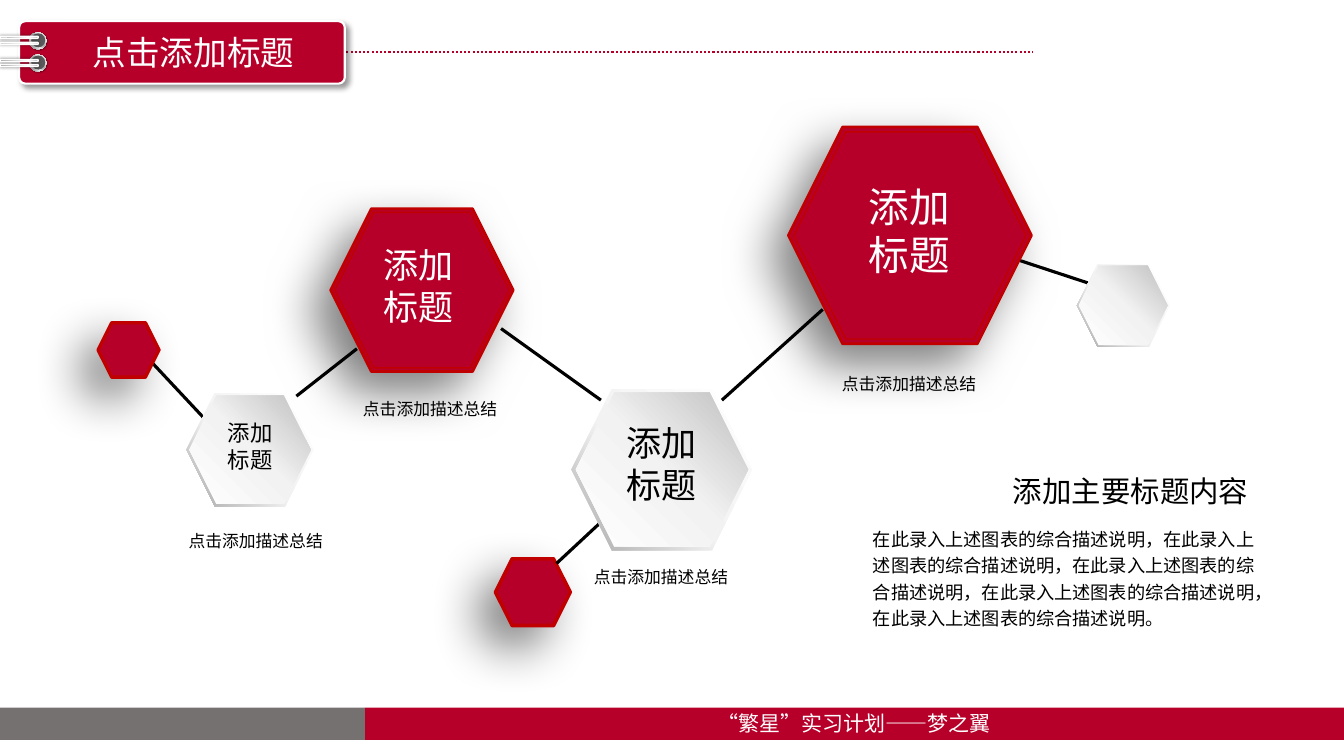
"""Build a slide that links titled hexagons into a network with a summary beside it."""
from dataclasses import dataclass

import pptx
import pptx.dml.color
import pptx.enum.dml
import pptx.enum.shapes
import pptx.enum.text
import pptx.oxml
import pptx.oxml.ns
import pptx.util
from lxml import etree

Inches = pptx.util.Inches
Pt = pptx.util.Pt
qn = pptx.oxml.ns.qn
SHAPE = pptx.enum.shapes.MSO_SHAPE
ALIGN = pptx.enum.text.PP_ALIGN


@dataclass(frozen=True)
class Theme:
    font: str = "Noto Sans CJK SC"
    red: str = "B6002A"
    edge: str = "C00000"
    gray: str = "767171"
    hole: str = "595959"
    white: str = "FFFFFF"
    black: str = "000000"
    ring: tuple = ((0, "FFFFFF"), (17, "A6A6A6"), (35, "F2F2F2"),
                   (55, "A6A6A6"), (75, "F2F2F2"), (100, "A6A6A6"))
    wire: tuple = ((0, "808080"), (23, "A6A6A6"), (52, "D9D9D9"),
                   (74, "FFFFFF"), (100, "A6A6A6"))
    bevel: tuple = ((0, "FFFFFF"), (55, "F2F2F2"), (100, "A6A6A6"))
    face: tuple = ((0, "FFFFFF"), (51, "F2F2F2"), (100, "BFBFBF"))
    title: int = 24
    footer: int = 15
    heading: int = 21
    body: int = 13
    caption: int = 12
    node_large: int = 29
    node_medium: int = 25
    node_small: int = 16


THEME = Theme()


def rgb(color):
    return pptx.dml.color.RGBColor.from_string(color)


def set_gradient(shape, stops, angle):
    shape.fill.gradient()
    gradient = shape._element.spPr.find(qn("a:gradFill"))
    stop_list = gradient.find(qn("a:gsLst"))
    for stop in list(stop_list):
        stop_list.remove(stop)
    for position, color in stops:
        stop = etree.SubElement(stop_list, qn("a:gs"), pos=str(position * 1000))
        etree.SubElement(stop, qn("a:srgbClr"), val=color)
    gradient.find(qn("a:lin")).set("ang", str(angle * 60000))


def set_shadow(shape, opacity, blur, distance, angle):
    effects = shape._element.spPr.find(qn("a:effectLst"))
    shadow = etree.SubElement(
        effects, qn("a:outerShdw"), blurRad=str(Pt(blur)), dist=str(Pt(distance)),
        dir=str(angle * 60000), algn="ctr", rotWithShape="0")
    color = etree.SubElement(shadow, qn("a:srgbClr"), val=THEME.black)
    etree.SubElement(color, qn("a:alpha"), val=str(opacity * 1000))


def add_block(slide, kind, box, fill, angle=0, line=None, shadow=None,
              rotation=0, corner=None):
    """Add a preset shape; fill is a colour or a tuple of gradient stops."""
    shape = slide.shapes.add_shape(kind, *map(Inches, box))
    shape.shadow.inherit = False
    shape.rotation = rotation
    if corner is not None:
        shape.adjustments[0] = corner
    if isinstance(fill, str):
        shape.fill.solid()
        shape.fill.fore_color.rgb = rgb(fill)
    else:
        set_gradient(shape, fill, angle)
    if line:
        shape.line.color.rgb = rgb(line[0])
        shape.line.width = Pt(line[1])
    else:
        shape.line.fill.background()
    if shadow:
        set_shadow(shape, *shadow)


def add_link(slide, start, end, color=THEME.black, width=2.25, dash=None):
    link = slide.shapes.add_connector(
        pptx.enum.shapes.MSO_CONNECTOR.STRAIGHT, *map(Inches, start + end))
    link.line.color.rgb = rgb(color)
    link.line.width = Pt(width)
    if dash:
        link.line.dash_style = dash
    etree.SubElement(link._element.spPr, qn("a:effectLst"))


def add_text(slide, box, text, size, color=THEME.black, align=ALIGN.LEFT,
             wrap=True, inset=(0.1, 0.05), spacing=None):
    frame = slide.shapes.add_textbox(*map(Inches, box)).text_frame
    frame.text = text
    frame.word_wrap = wrap
    frame.auto_size = pptx.enum.text.MSO_AUTO_SIZE.SHAPE_TO_FIT_TEXT
    frame.margin_left = frame.margin_right = Inches(inset[0])
    frame.margin_top = frame.margin_bottom = Inches(inset[1])
    for paragraph in frame.paragraphs:
        paragraph.alignment = align
        if spacing:
            paragraph.line_spacing = spacing
        for run in paragraph.runs:
            run.font.size = Pt(size)
            run.font.color.rgb = rgb(color)
            run.font.name = THEME.font
            etree.SubElement(run.font._element, qn("a:ea"), typeface=THEME.font)


def add_hexagon(slide, left, top, width, red):
    """Add a rim hexagon and a slightly smaller face centred on it."""
    height = width * 0.893
    scale = 0.955
    margin = (1 - scale) / 2
    rim = (left, top, width, height)
    face = (left + width * margin, top + height * margin, width * scale, height * scale)
    if red:
        add_block(slide, SHAPE.HEXAGON, rim, THEME.red, line=(THEME.edge, 2),
                  shadow=(50, 35, 20, 135))
        add_block(slide, SHAPE.HEXAGON, face, THEME.red, line=(THEME.edge, 1))
    else:
        add_block(slide, SHAPE.HEXAGON, rim, THEME.bevel, angle=135)
        add_block(slide, SHAPE.HEXAGON, face, THEME.face, angle=315)


def add_frame(slide):
    """Add the footer bars, the title plate and its binder rings."""
    add_block(slide, SHAPE.RECTANGLE, (3.62, 7.02, 9.71, 0.32), THEME.red)
    add_text(slide, (6.99, 7, 2.97, 0.35), "“繁星”实习计划——梦之翼",
             THEME.footer, THEME.white, ALIGN.CENTER, wrap=False)
    add_link(slide, (3.31, 0.52), (10.24, 0.52), THEME.red, 1.5,
             pptx.enum.dml.MSO_LINE.ROUND_DOT)
    add_block(slide, SHAPE.ROUNDED_RECTANGLE, (0.19, 0.21, 3.23, 0.62), THEME.red,
              line=(THEME.white, 1.5), shadow=(40, 4, 3, 45), corner=0.1)
    for top in (0.54, 0.32):
        add_block(slide, SHAPE.OVAL, (0.29, top, 0.17, 0.17), THEME.ring, angle=45,
                  shadow=(40, 1, 1, 45), rotation=270)
        add_block(slide, SHAPE.OVAL, (0.31, top + 0.01, 0.14, 0.14), THEME.hole,
                  rotation=270)
    for top in (0.46, 0.41, 0.24, 0.18):
        add_block(slide, SHAPE.ROUNDED_RECTANGLE, (0.18, top, 0.02, 0.38), THEME.wire,
                  angle=90, line=(THEME.white, 1), shadow=(40, 2, 0, 0),
                  rotation=270, corner=0.5)
    add_block(slide, SHAPE.RECTANGLE, (0, 7.02, 3.62, 0.32), THEME.gray)
    add_text(slide, (0.81, 0.27, 2.22, 0.5), "点击添加标题", THEME.title,
             THEME.white, ALIGN.CENTER, wrap=False)


def add_network(slide):
    """Add the linked hexagons with their titles and captions."""
    for start, end in (((10.07, 2.57), (10.89, 2.84)), ((7.16, 3.97), (8.16, 3.07))):
        add_link(slide, start, end)
    for left, top, width in ((7.82, 1.26, 2.41), (4.91, 5.54, 0.75), (3.28, 2.07, 1.81)):
        add_hexagon(slide, left, top, width, red=True)
    for start, end in (((2.94, 3.93), (3.54, 3.46)), ((4.97, 3.26), (5.96, 3.97)),
                       ((1.52, 3.61), (2.82, 5)), ((5.52, 5.59), (5.96, 5.18))):
        add_link(slide, start, end)
    for left, top, width in ((10.68, 2.62, 0.92), (5.67, 3.86, 1.79), (1.85, 3.9, 1.26)):
        add_hexagon(slide, left, top, width, red=False)
    for box, size, color in (
            ((8.48, 1.73, 1.08, 1.11), THEME.node_large, THEME.white),
            ((6.08, 4.11, 0.97, 0.98), THEME.node_medium, THEME.black),
            ((3.67, 2.35, 0.97, 0.98), THEME.node_medium, THEME.white),
            ((2.12, 4.09, 0.72, 0.67), THEME.node_small, THEME.black)):
        add_text(slide, box, "添加\n标题", size, color, ALIGN.CENTER,
                 wrap=False, inset=(0.13, 0.07))
    for left, top in ((1.76, 5.15), (3.49, 3.84), (5.78, 5.51), (8.24, 3.6)):
        add_text(slide, (left, top, 1.99, 0.34), "点击添加描述总结", THEME.caption,
                 inset=(0.11, 0.06), spacing=Pt(18.1))
    add_hexagon(slide, 0.97, 3.2, 0.61, red=True)


def add_summary(slide):
    add_text(slide, (9.11, 4.63, 3.39, 0.48), "添加主要标题内容", THEME.heading,
             align=ALIGN.RIGHT, inset=(0.12, 0.06))
    clause = "在此录入上述图表的综合描述说明"
    add_text(slide, (8.56, 5.15, 4, 1.17), "，".join([clause] * 5) + "。",
             THEME.body, spacing=1.2)


def main():
    deck = pptx.Presentation()
    deck.slide_width, deck.slide_height = Inches(13.33), Inches(7.5)
    slide = deck.slides.add_slide(deck.slide_layouts[6])
    add_frame(slide)
    add_network(slide)
    add_summary(slide)
    deck.save("out.pptx")


if __name__ == "__main__":
    main()
